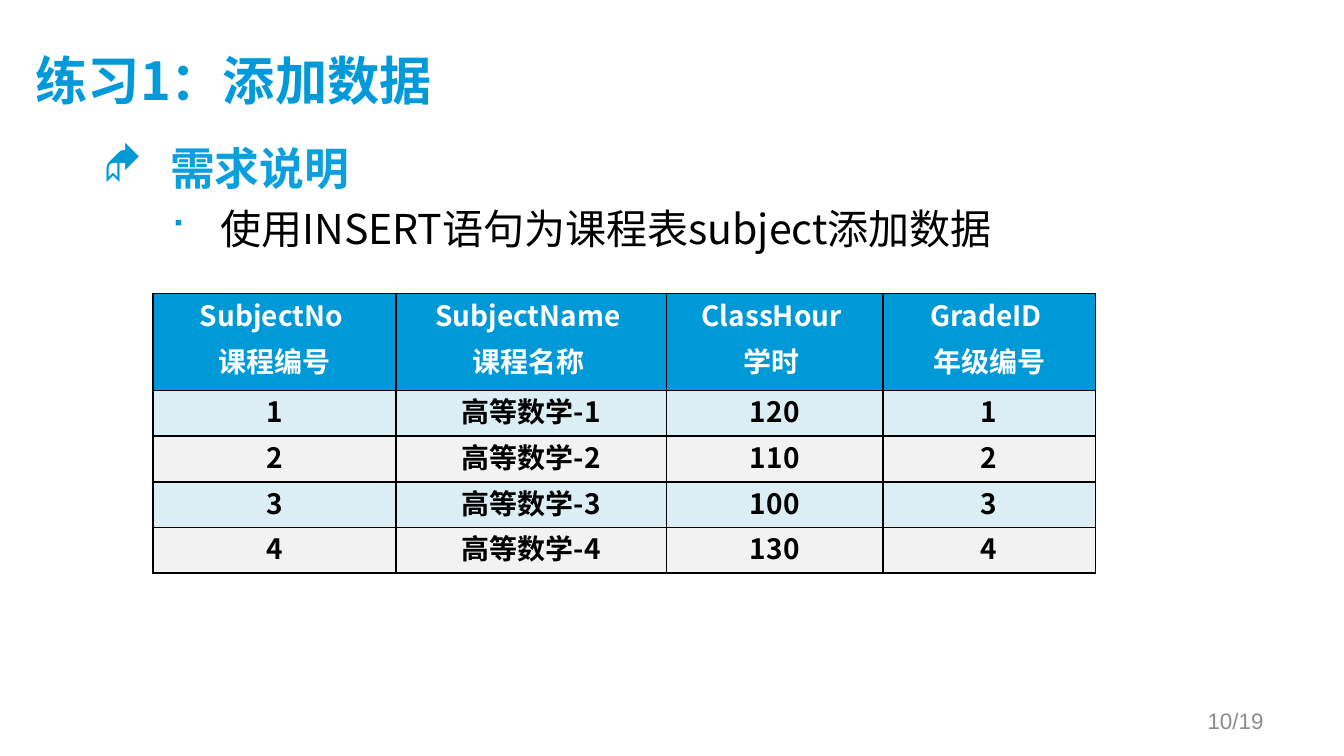
from dataclasses import dataclass
from typing import NamedTuple

from lxml import etree
from pptx import Presentation
from pptx.dml.color import RGBColor
from pptx.enum.text import MSO_ANCHOR, MSO_AUTO_SIZE, PP_ALIGN
from pptx.oxml.ns import qn
from pptx.util import Emu, Pt

LEFT, CENTER, RIGHT = PP_ALIGN.LEFT, PP_ALIGN.CENTER, PP_ALIGN.RIGHT
MIDDLE = MSO_ANCHOR.MIDDLE
NO_AUTOFIT = MSO_AUTO_SIZE.NONE
EMU_PER_PX = 4572
TITLE_AND_CONTENT = 1


@dataclass(frozen=True)
class Theme:
    """Colours, fonts and type sizes of the slide."""
    font: str = "Noto Sans CJK SC"
    number_font: str = "Arial"
    bullet_font: str = "Wingdings"
    title_color: str = "0099D9"
    accent: str = "0099D8"
    heading_color: str = "0B9FDD"
    ink: str = "000000"
    paper: str = "FFFFFF"
    muted: str = "8C8C8C"
    bands: tuple[str, str] = ("DBEEF4", "F2F2F2")
    title_size: int = 28
    heading_size: int = 24
    item_size: int = 22
    table_size: int = 15
    number_size: int = 12
    border_width: int = 1


class Box(NamedTuple):
    """Left, top, width and height in px."""
    left: int
    top: int
    width: int
    height: int


class Bullet(NamedTuple):
    """A bullet's symbol, relative size and paragraph indents in px."""
    symbol: str
    percent: int
    margin: int
    hanging: int


class Column(NamedTuple):
    """A table column with its two-line header and values."""
    width: int
    header: tuple[str, str]
    values: tuple[str, ...]


THEME = Theme()
SLIDE_WIDTH, SLIDE_HEIGHT = 2000, 1125
TITLE_BOX = Box(53, 46, 1790, 154)
BODY_BOX = Box(133, 200, 1654, 754)
TABLE_BOX = Box(228, 437, 1402, 416)
NUMBER_BOX = Box(1434, 1043, 466, 60)
HEADER_HEIGHT, ROW_HEIGHT = 144, 68
DIAMOND = Bullet("◆", 100, 100, 100)
SQUARE = Bullet("■", 90, 175, 75)
COURSE_COUNT = 4
COURSE_NUMBERS = tuple(str(number) for number in range(1, COURSE_COUNT + 1))
COLUMNS = (
    Column(361, ("SubjectNo ", "课程编号"), COURSE_NUMBERS),
    Column(403, ("SubjectName ", "课程名称 "),
           tuple(f"高等数学-{number}" for number in COURSE_NUMBERS)),
    Column(322, ("ClassHour ", "学时 "), ("120", "110", "100", "130")),
    Column(316, ("GradeID ", "年级编号"), COURSE_NUMBERS),
)


def px(length: int) -> Emu:
    """Turn px into EMU."""
    return Emu(length * EMU_PER_PX)


def place(shape, box: Box) -> None:
    """Move and size a shape."""
    shape.left, shape.top, shape.width, shape.height = map(px, box)


def add_bullet(properties, bullet: Bullet) -> None:
    """Give paragraph properties a coloured bullet and a hanging indent."""
    properties.set("marL", str(px(bullet.margin)))
    properties.set("indent", str(-px(bullet.hanging)))
    color = etree.SubElement(properties, qn("a:buClr"))
    etree.SubElement(color, qn("a:srgbClr"), val=THEME.accent)
    etree.SubElement(properties, qn("a:buSzPct"), val=str(bullet.percent * 1000))
    etree.SubElement(properties, qn("a:buFont"), typeface=THEME.bullet_font)
    etree.SubElement(properties, qn("a:buChar"), char=bullet.symbol)


def add_text(frame, text: str, *, size: int, color: str, font: str = THEME.font,
             bold: bool = False, align=LEFT, level: int = 0,
             space_percent: int = 0, bullet: Bullet | None = None) -> None:
    """Add one formatted paragraph to a text frame."""
    first = frame.paragraphs[0]
    paragraph = frame.add_paragraph() if first.runs else first
    paragraph.alignment, paragraph.level = align, level
    properties = paragraph._p.get_or_add_pPr()
    if space_percent:
        spacing = etree.SubElement(properties, qn("a:spcBef"))
        etree.SubElement(spacing, qn("a:spcPct"), val=str(space_percent * 1000))
    if bullet:
        add_bullet(properties, bullet)
    run = paragraph.add_run()
    run.text = text
    run.font.size, run.font.bold, run.font.name = Pt(size), bold, font
    run.font.color.rgb = RGBColor.from_string(color)
    etree.SubElement(run._r.get_or_add_rPr(), qn("a:ea"), typeface=font)


def draw_title(slide) -> None:
    """Fill the title placeholder."""
    title = slide.shapes.title
    place(title, TITLE_BOX)
    frame = title.text_frame
    frame.auto_size, frame.vertical_anchor = NO_AUTOFIT, MIDDLE
    frame.margin_left = frame.margin_top = 0
    add_text(frame, "练习1：添加数据", size=THEME.title_size,
             color=THEME.title_color, bold=True)


def draw_body(slide) -> None:
    """Fill the body placeholder with the requirement."""
    body = slide.placeholders[1]
    place(body, BODY_BOX)
    frame = body.text_frame
    frame.auto_size = NO_AUTOFIT
    add_text(frame, "需求说明", size=THEME.heading_size, color=THEME.heading_color,
             bold=True, space_percent=20, bullet=DIAMOND)
    add_text(frame, "使用INSERT语句为课程表subject添加数据", size=THEME.item_size,
             color=THEME.ink, level=1, space_percent=20, bullet=SQUARE)


def draw_cell(cell, lines: tuple[str, ...], fill: str, color: str) -> None:
    """Draw one bordered cell with centred bold lines."""
    cell.margin_left = cell.margin_right = cell.margin_top = cell.margin_bottom = 0
    properties = cell._tc.get_or_add_tcPr()
    for side in ("lnL", "lnR", "lnT", "lnB"):
        line = etree.SubElement(properties, qn(f"a:{side}"),
                                w=str(Pt(THEME.border_width)))
        solid = etree.SubElement(line, qn("a:solidFill"))
        etree.SubElement(solid, qn("a:srgbClr"), val=THEME.ink)
    cell.fill.solid()
    cell.fill.fore_color.rgb = RGBColor.from_string(fill)
    for text in lines:
        add_text(cell.text_frame, text, size=THEME.table_size, color=color,
                 bold=True, align=CENTER, space_percent=20)


def draw_table(slide, columns: tuple[Column, ...]) -> None:
    """Draw the course table."""
    table = slide.shapes.add_table(COURSE_COUNT + 1, len(columns),
                                   *map(px, TABLE_BOX)).table
    table.first_row = table.horz_banding = False
    for index, row in enumerate(table.rows):
        row.height = px(ROW_HEIGHT if index else HEADER_HEIGHT)
    for column_index, column in enumerate(columns):
        table.columns[column_index].width = px(column.width)
        draw_cell(table.cell(0, column_index), column.header,
                  THEME.accent, THEME.paper)
        for row_index, value in enumerate(column.values):
            draw_cell(table.cell(row_index + 1, column_index), (value,),
                      THEME.bands[row_index % 2], THEME.ink)


def draw_page_number(slide) -> None:
    """Draw the page number at the bottom right."""
    frame = slide.shapes.add_textbox(*map(px, NUMBER_BOX)).text_frame
    frame.word_wrap, frame.vertical_anchor = True, MIDDLE
    add_text(frame, "10/19", size=THEME.number_size, color=THEME.muted,
             font=THEME.number_font, align=RIGHT)


def main() -> None:
    """Build and save the slide."""
    presentation = Presentation()
    presentation.slide_width, presentation.slide_height = px(SLIDE_WIDTH), px(SLIDE_HEIGHT)
    layout = presentation.slide_layouts[TITLE_AND_CONTENT]
    slide = presentation.slides.add_slide(layout)
    draw_title(slide)
    draw_body(slide)
    draw_table(slide, COLUMNS)
    draw_page_number(slide)
    presentation.save("out.pptx")


if __name__ == "__main__":
    main()
